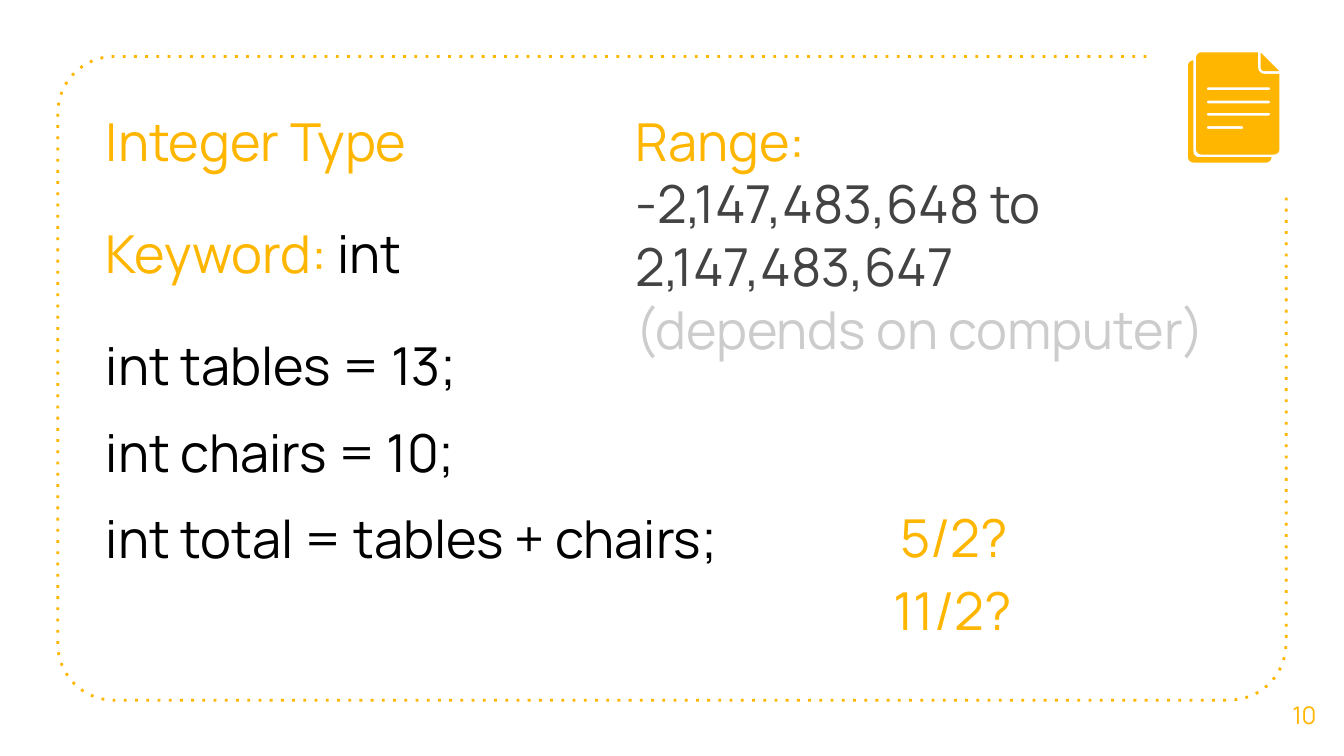
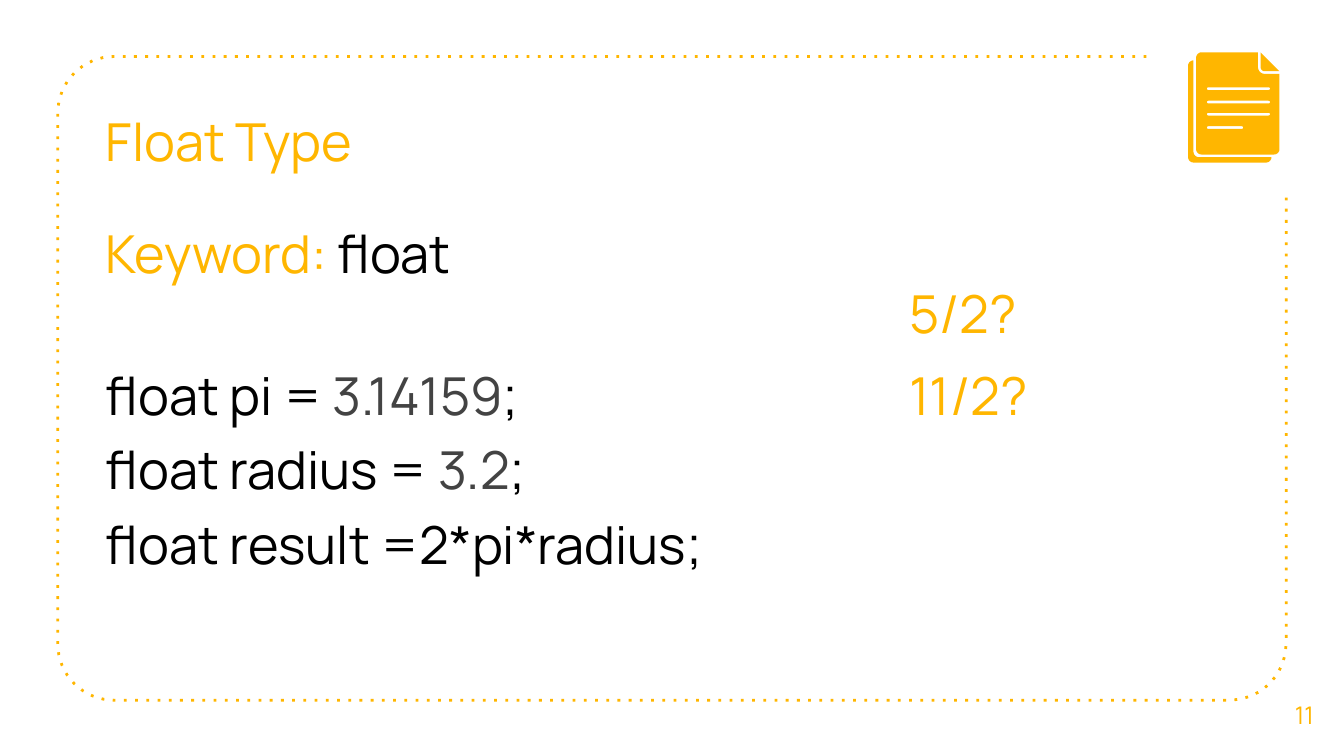
from dataclasses import dataclass
from math import cos, radians, sin
from typing import NamedTuple

from pptx import Presentation
from pptx.dml.color import RGBColor
from pptx.enum.dml import MSO_LINE
from pptx.enum.text import MSO_ANCHOR, PP_ALIGN
from pptx.shapes.autoshape import Shape
from pptx.slide import Slide
from pptx.util import Inches, Pt

ROUND_DOT = MSO_LINE.ROUND_DOT
MIDDLE, TOP = MSO_ANCHOR.MIDDLE, MSO_ANCHOR.TOP
CENTER, LEFT = PP_ALIGN.CENTER, PP_ALIGN.LEFT

Points = list[tuple[float, float]]


@dataclass(frozen=True)
class Theme:
    accent: RGBColor = RGBColor(0xFF, 0xB6, 0x00)
    code: RGBColor = RGBColor(0x00, 0x00, 0x00)
    value: RGBColor = RGBColor(0x43, 0x43, 0x43)
    aside: RGBColor = RGBColor(0xCC, 0xCC, 0xCC)
    font: str = "Manrope"
    body_size: int = 28
    number_size: int = 13
    frame_weight: float = 1.5
    inset: float = 0.1
    text_left: float = 0.69
    line_height: float = 0.64


THEME = Theme()


class Span(NamedTuple):
    text: str
    color: RGBColor = THEME.code


Line = list[Span]


@dataclass(frozen=True)
class Note:
    left: float
    top: float
    width: float
    height: float
    lines: list[Line]


class CodeLine(NamedTuple):
    top: float
    width: float
    spans: Line


@dataclass(frozen=True)
class TypeSlide:
    number: int
    title: str
    keyword: str
    code: list[CodeLine]
    notes: list[Note]


def question(text: str, left: float, top: float) -> Note:
    return Note(left, top, 3.04, THEME.line_height, [[Span(text, THEME.accent)]])


TYPE_SLIDES = [
    TypeSlide(
        number=10, title="Integer Type", keyword="int",
        code=[
            CodeLine(2.38, 3.04, [Span("int tables = 13;")]),
            CodeLine(3.03, 3.04, [Span("int chairs = 10;")]),
            CodeLine(3.67, 5, [Span("int total = tables + chairs;")]),
        ],
        notes=[
            Note(4.63, 0.71, 5.65, 2.24, [
                [Span("Range:", THEME.accent)],
                [Span("-2,147,483,648 to 2,147,483,647", THEME.value)],
                [Span("(depends on computer)", THEME.aside)],
            ]),
            question("5/2?", 6.6, 3.66),
            question("11/2?", 6.55, 4.2),
        ],
    ),
    TypeSlide(
        number=11, title="Float Type", keyword="float",
        code=[
            CodeLine(2.6, 3.66, [Span("float pi = "), Span("3.14159", THEME.value), Span(";")]),
            CodeLine(3.15, 3.66, [Span("float radius = "), Span("3.2", THEME.value), Span(";")]),
            CodeLine(3.71, 4.75, [Span("float result =2*pi*radius;")]),
        ],
        notes=[question("5/2?", 6.67, 1.99), question("11/2?", 6.67, 2.6)],
    ),
]


def arc(x: float, y: float, radius: float, start: int, end: int, steps: int = 8) -> Points:
    """Points around (x, y); degrees run clockwise from the right."""
    angles = [radians(start + (end - start) * i / steps) for i in range(steps + 1)]
    return [(x + radius * cos(a), y + radius * sin(a)) for a in angles]


def pill(left: float, right: float, middle: float, radius: float = 0.01) -> Points:
    return (arc(right - radius, middle, radius, -90, 90)
            + arc(left + radius, middle, radius, 90, 270))


def add_outline(shapes, contours: list[Points], closed: bool = True) -> Shape:
    emu = [[(Inches(x), Inches(y)) for x, y in contour] for contour in contours]
    builder = shapes.build_freeform(*emu[0][0], scale=1.0)
    for index, contour in enumerate(emu):
        if index:
            builder.move_to(*contour[0])
        builder.add_line_segments(contour[1:], close=closed)
    outline = builder.convert_to_shape()
    outline.shadow.inherit = False
    return outline


def add_frame(slide: Slide) -> None:
    """Dotted rounded border, open at the corner that holds the icon."""
    radius, left, right, top, bottom = 0.42, 0.43, 9.57, 0.42, 5.21
    border = ([(8.53, top)]
              + arc(left + radius, top + radius, radius, 270, 180)
              + arc(left + radius, bottom - radius, radius, 180, 90)
              + arc(right - radius, bottom - radius, radius, 90, 0)
              + [(right, 1.46)])
    frame = add_outline(slide.shapes, [border], closed=False)
    frame.fill.background()
    frame.line.color.rgb = THEME.accent
    frame.line.width = Pt(THEME.frame_weight)
    frame.line.dash_style = ROUND_DOT
    frame.element.xpath(".//a:prstDash")[0].set("val", "dot")


def add_document_icon(slide: Slide) -> None:
    corner = 0.04
    back_sheet = (arc(8.88, 0.49, corner, 270, 180)
                  + arc(8.88, 1.17, corner, 180, 90)
                  + arc(9.42, 1.17, corner, 90, 0)
                  + arc(8.92, 1.13, corner, 90, 180)
                  + [(8.88, 0.45)])
    front_sheet = (arc(8.94, 0.43, corner, 270, 180)
                   + arc(8.94, 1.11, corner, 180, 90)
                   + arc(9.48, 1.11, corner, 90, 0)
                   + [(9.52, 0.55)]
                   + arc(9.41, 0.5, 0.05, 90, 180)
                   + [(9.36, 0.39)])
    text_rows = [pill(8.98, right, middle) for right, middle in
                 ((9.45, 0.66), (9.45, 0.76), (9.45, 0.85), (9.25, 0.95))]
    fold = [(9.38, 0.39)] + arc(9.41, 0.5, 0.03, 180, 90) + [(9.52, 0.53)]

    icon = slide.shapes.add_group_shape()
    for contours in ([back_sheet], text_rows + [front_sheet], [fold]):
        part = add_outline(icon.shapes, contours)
        part.fill.solid()
        part.fill.fore_color.rgb = THEME.accent
        part.line.fill.background()


def add_text(slide: Slide, note: Note, size: int = THEME.body_size,
             align: PP_ALIGN = LEFT, anchor: MSO_ANCHOR = TOP) -> None:
    box = slide.shapes.add_textbox(Inches(note.left), Inches(note.top),
                                   Inches(note.width), Inches(note.height))
    frame = box.text_frame
    frame.word_wrap = True
    frame.vertical_anchor = anchor
    frame.margin_left = frame.margin_right = Inches(THEME.inset)
    frame.margin_top = frame.margin_bottom = Inches(THEME.inset)
    for index, line in enumerate(note.lines):
        paragraph = frame.add_paragraph() if index else frame.paragraphs[0]
        paragraph.alignment = align
        for span in line:
            run = paragraph.add_run()
            run.text = span.text
            run.font.name = THEME.font
            run.font.size = Pt(size)
            run.font.color.rgb = span.color


def add_body_line(slide: Slide, top: float, width: float, line: Line) -> None:
    add_text(slide, Note(THEME.text_left, top, width, THEME.line_height, [line]))


def add_type_slide(prs, content: TypeSlide) -> None:
    slide = prs.slides.add_slide(prs.slide_layouts[6])
    add_frame(slide)
    add_body_line(slide, 0.71, 3.04, [Span(content.title, THEME.accent)])
    page_number = Note(9.41, 5.02, 0.59, 0.6, [[Span(str(content.number), THEME.accent)]])
    add_text(slide, page_number, THEME.number_size, CENTER, MIDDLE)
    add_document_icon(slide)
    add_body_line(slide, 1.55, 3.04, [Span("Keyword: ", THEME.accent), Span(content.keyword)])
    for line in content.code:
        add_body_line(slide, line.top, line.width, line.spans)
    for note in content.notes:
        add_text(slide, note)


def main() -> None:
    prs = Presentation()
    prs.slide_width = Inches(10)
    prs.slide_height = prs.slide_width * 9 // 16
    for content in TYPE_SLIDES:
        add_type_slide(prs, content)
    prs.save("out.pptx")


if __name__ == "__main__":
    main()
